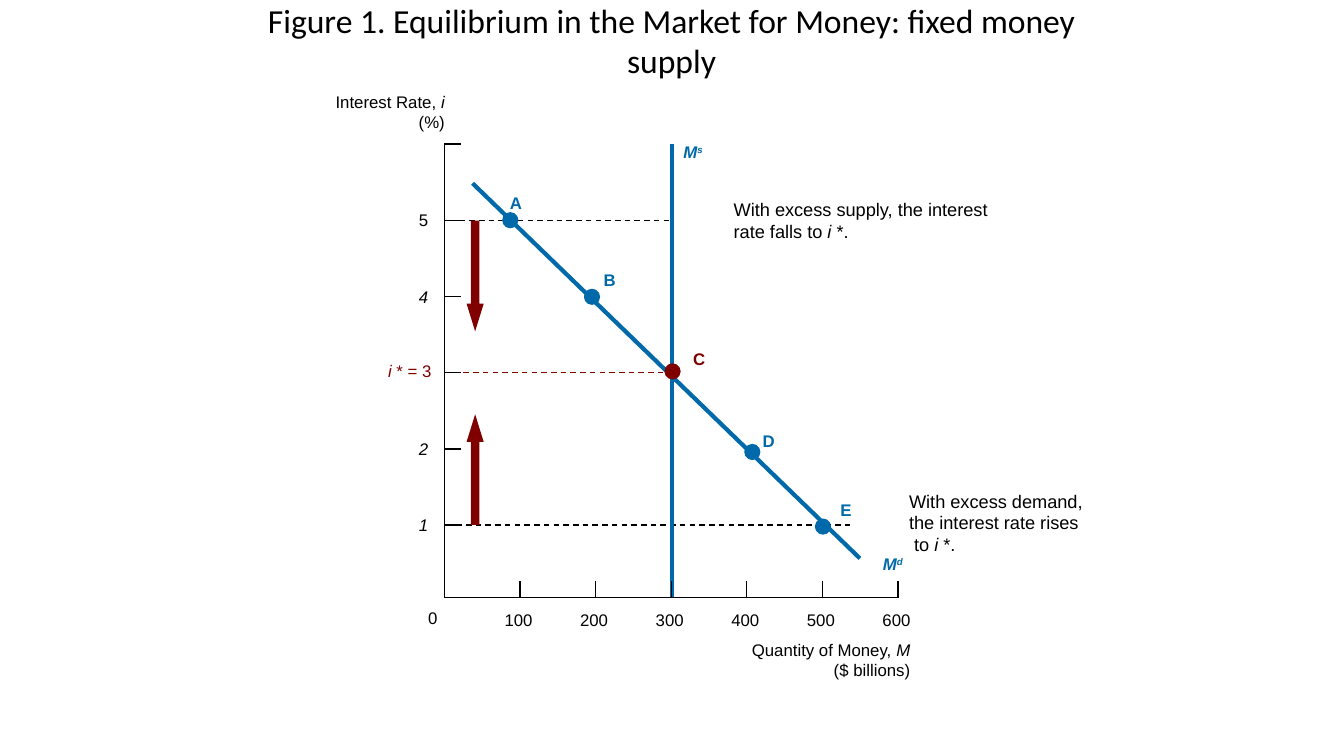
from typing import NamedTuple

from lxml import etree
from pptx import Presentation
from pptx.dml.color import RGBColor
from pptx.enum.dml import MSO_LINE
from pptx.enum.shapes import MSO_CONNECTOR, MSO_SHAPE
from pptx.enum.text import MSO_ANCHOR, MSO_AUTO_SIZE, PP_ALIGN
from pptx.oxml.ns import qn
from pptx.util import Cm, Pt

STRAIGHT = MSO_CONNECTOR.STRAIGHT
DOT = MSO_SHAPE.FLOWCHART_CONNECTOR
DOWN, UP = MSO_SHAPE.DOWN_ARROW, MSO_SHAPE.UP_ARROW
DASH = MSO_LINE.DASH
LEFT, CENTER, RIGHT = PP_ALIGN.LEFT, PP_ALIGN.CENTER, PP_ALIGN.RIGHT

BLACK, BLUE, RED = "000000", "0069AA", "800000"

# All lengths are in centimetres.
ORIGIN_X, ORIGIN_Y = 11.2, 15.06
TICK = 0.41
DOT_SIZE = 0.38
LABEL_HEIGHT = 0.76


class Span(NamedTuple):
    text: str
    italic: bool = False
    raised: bool = False


class Point(NamedTuple):
    """A point on the demand curve: dot centre and left top of its letter."""
    letter: str
    x: float
    y: float
    label_x: float
    label_y: float
    color: str = BLUE


class Guide(NamedTuple):
    rate: int
    start: float
    end: float
    color: str = BLACK


class Pressure(NamedTuple):
    """An arrow that shows where the interest rate is pushed."""
    shape: MSO_SHAPE
    top: float


class Label(NamedTuple):
    lines: list[list[Span]]
    x: float
    y: float
    width: float
    height: float = LABEL_HEIGHT
    size: int = 12
    color: str = BLACK
    bold: bool = False
    align: PP_ALIGN = LEFT


POINTS = [
    Point("A", 12.86, 5.55, 12.6, 4.72),
    Point("B", 14.92, 7.48, 14.96, 6.68),
    Point("C", 16.95, 9.36, 17.22, 8.66, RED),
    Point("D", 18.96, 11.39, 18.97, 10.72),
    Point("E", 20.74, 13.27, 20.93, 12.47),
]
GUIDES = [
    Guide(1, 11.5, 21.41),
    Guide(3, 11.68, 17.0, RED),
    Guide(5, 11.58, 16.92),
]
PRESSURES = [Pressure(DOWN, 5.56), Pressure(UP, 10.44)]
CAPTIONS = [
    Label([[Span("Interest Rate, "), Span("i ", True), Span("(%)")]],
          7.8, 2.18, 3.66, 1.27, align=RIGHT),
    Label([[Span("Quantity of Money, "), Span("M", True)], [Span("($ billions)")]],
          18.31, 16.0, 4.88, 1.27, align=RIGHT),
    Label([[Span("i ", True), Span("* = 3")]], 9.53, 8.97, 2.5, color=RED),
    Label([[Span("0")]], 10.54, 15.19, 1.27),
    Label([[Span("M", True), Span("s", True, True)]],
          16.97, 3.45, 1.27, color=BLUE, bold=True),
    Label([[Span("M", True), Span("d", True, True)]],
          22.0, 13.84, 1.27, color=BLUE, bold=True),
    Label([[Span("With excess supply, the interest rate falls to "),
            Span("i ", True), Span("*.")]], 18.24, 4.88, 7.05, 1.35, size=13),
    Label([[Span("With excess demand,")], [Span("the interest rate rises")],
           [Span(" to "), Span("i ", True), Span("*.")]],
          22.66, 12.22, 6.99, 1.93, size=13),
]


def x_at(money: int) -> float:
    return ORIGIN_X + 1.905 * money / 100


def y_at(rate: int) -> float:
    return 13.23 - 1.92 * (rate - 1)


def rgb(value: str) -> RGBColor:
    return RGBColor.from_string(value)


def add_line(slide, x1: float, y1: float, x2: float, y2: float,
             color: str = BLACK, width: float = 1, dashed: bool = False) -> None:
    line = slide.shapes.add_connector(STRAIGHT, Cm(x1), Cm(y1), Cm(x2), Cm(y2))
    line.line.color.rgb = rgb(color)
    line.line.width = Pt(width)
    if dashed:
        line.line.dash_style = DASH
    etree.SubElement(line._element.spPr, qn("a:effectLst"))


def add_label(slide, label: Label) -> None:
    box = slide.shapes.add_textbox(
        Cm(label.x), Cm(label.y), Cm(label.width), Cm(label.height))
    frame = box.text_frame
    frame.word_wrap = True
    for index, spans in enumerate(label.lines):
        paragraph = frame.add_paragraph() if index else frame.paragraphs[0]
        paragraph.alignment = label.align
        for span in spans:
            run = paragraph.add_run()
            run.text = span.text
            run.font.name = "Arial"
            run.font.size = Pt(label.size)
            run.font.bold = label.bold
            run.font.italic = span.italic
            run.font.color.rgb = rgb(label.color)
            if span.raised:
                run._r.get_or_add_rPr().set("baseline", "30000")


def add_point(slide, point: Point) -> None:
    dot = slide.shapes.add_shape(
        DOT, Cm(point.x - DOT_SIZE / 2), Cm(point.y - DOT_SIZE / 2),
        Cm(DOT_SIZE), Cm(DOT_SIZE))
    dot.shadow.inherit = False
    dot.fill.solid()
    dot.fill.fore_color.rgb = rgb(point.color)
    dot.line.color.rgb = rgb(point.color)
    dot.line.width = Pt(0.75)
    add_label(slide, Label([[Span(point.letter)]], point.label_x, point.label_y,
                           0.9, color=point.color, bold=True))


def add_pressure(slide, pressure: Pressure) -> None:
    arrow = slide.shapes.add_shape(
        pressure.shape, Cm(11.76), Cm(pressure.top), Cm(0.43), Cm(2.79))
    arrow.adjustments[0] = 0.5
    arrow.adjustments[1] = 1.615
    arrow.shadow.inherit = False
    arrow.fill.solid()
    arrow.fill.fore_color.rgb = rgb(RED)
    arrow.line.fill.background()


def add_axes(slide) -> None:
    add_line(slide, ORIGIN_X, y_at(6), ORIGIN_X, ORIGIN_Y)
    add_line(slide, ORIGIN_X, ORIGIN_Y, x_at(600), ORIGIN_Y)
    for rate in range(1, 7):
        add_line(slide, ORIGIN_X, y_at(rate), ORIGIN_X + TICK, y_at(rate))
    for rate in (1, 2, 4, 5):
        add_label(slide, Label([[Span(str(rate), rate != 5)]],
                               10.31, y_at(rate) - 0.38, 1.27))
    for money in range(100, 700, 100):
        add_line(slide, x_at(money), ORIGIN_Y - TICK, x_at(money), ORIGIN_Y)
        add_label(slide, Label([[Span(str(money))]], x_at(money) - 0.64, 15.24, 1.4))


def add_title(slide) -> None:
    title = slide.shapes.title
    title.left, title.top = Cm(5.28), Cm(0.33)
    title.width, title.height = Cm(23.29), Cm(1.37)
    frame = title.text_frame
    frame.text = "Figure 1. Equilibrium in the Market for Money: fixed money supply"
    frame.word_wrap = True
    frame.auto_size = MSO_AUTO_SIZE.NONE
    frame.vertical_anchor = MSO_ANCHOR.MIDDLE
    frame.margin_left = frame.margin_right = Cm(0.4)
    paragraph = frame.paragraphs[0]
    paragraph.alignment = CENTER
    font = paragraph.runs[0].font
    font.name, font.size = "Calibri", Pt(24)
    font.color.rgb = rgb(BLACK)


def main() -> None:
    deck = Presentation()
    deck.slide_width, deck.slide_height = Cm(33.87), Cm(19.05)
    slide = deck.slides.add_slide(deck.slide_layouts[5])
    add_title(slide)
    for guide in GUIDES:
        add_line(slide, guide.start, y_at(guide.rate), guide.end,
                 y_at(guide.rate), guide.color, dashed=True)
    for pressure in PRESSURES:
        add_pressure(slide, pressure)
    add_line(slide, 16.94, y_at(6), 16.94, ORIGIN_Y, BLUE, 3)
    add_line(slide, 11.91, 4.62, 21.67, 14.07, BLUE, 3)
    add_axes(slide)
    for point in POINTS:
        add_point(slide, point)
    for caption in CAPTIONS:
        add_label(slide, caption)
    deck.save("out.pptx")


if __name__ == "__main__":
    main()
